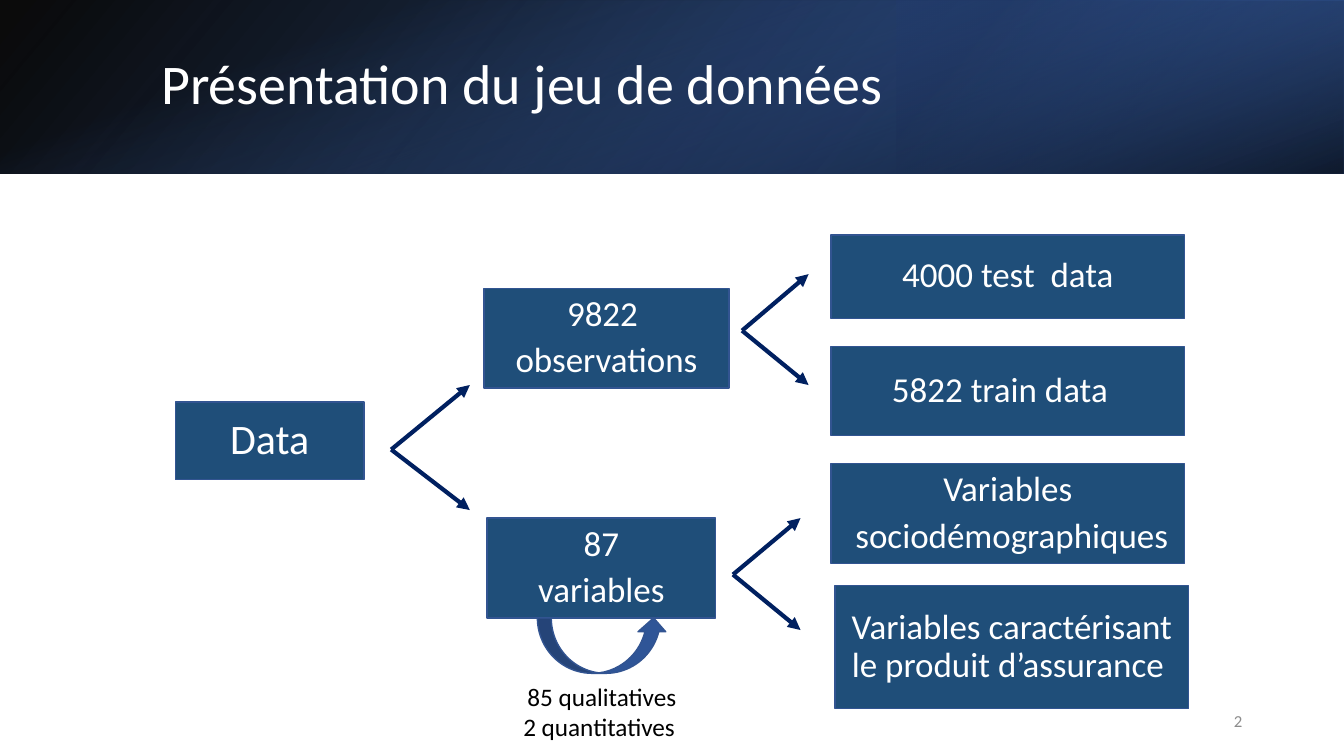
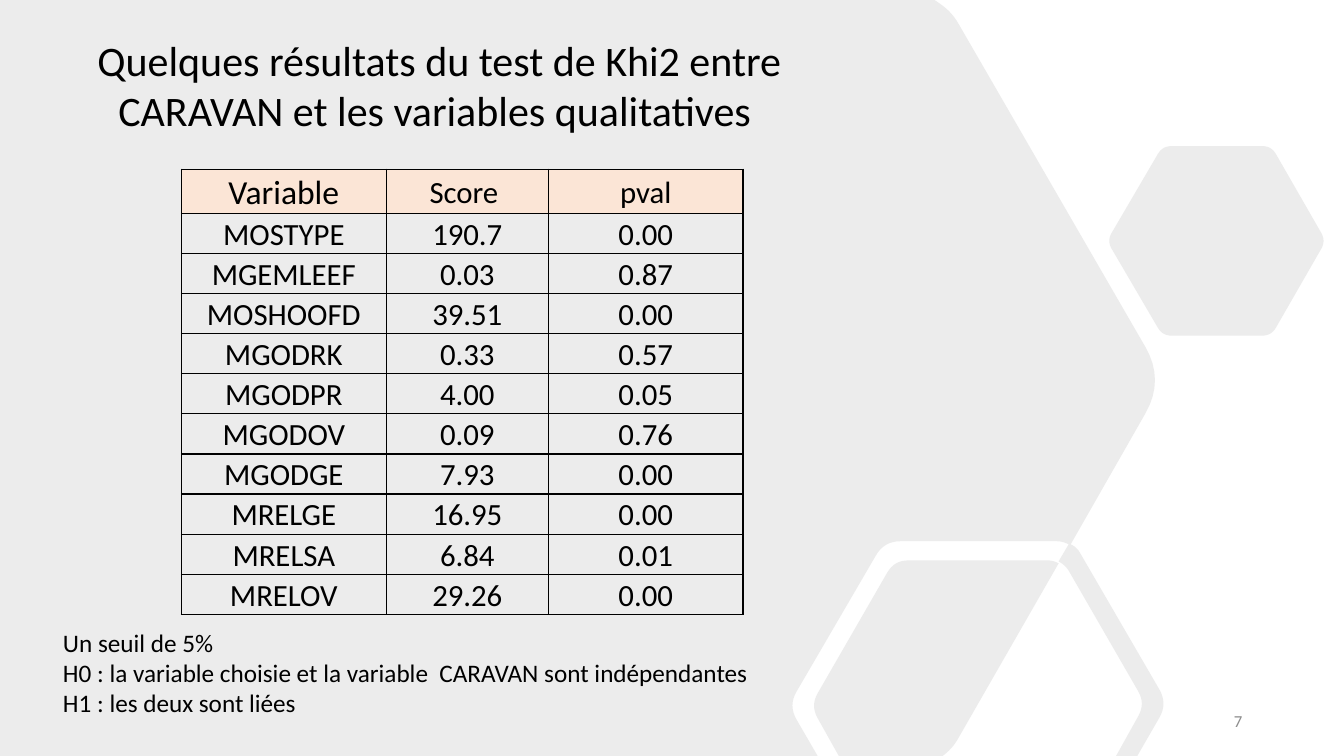
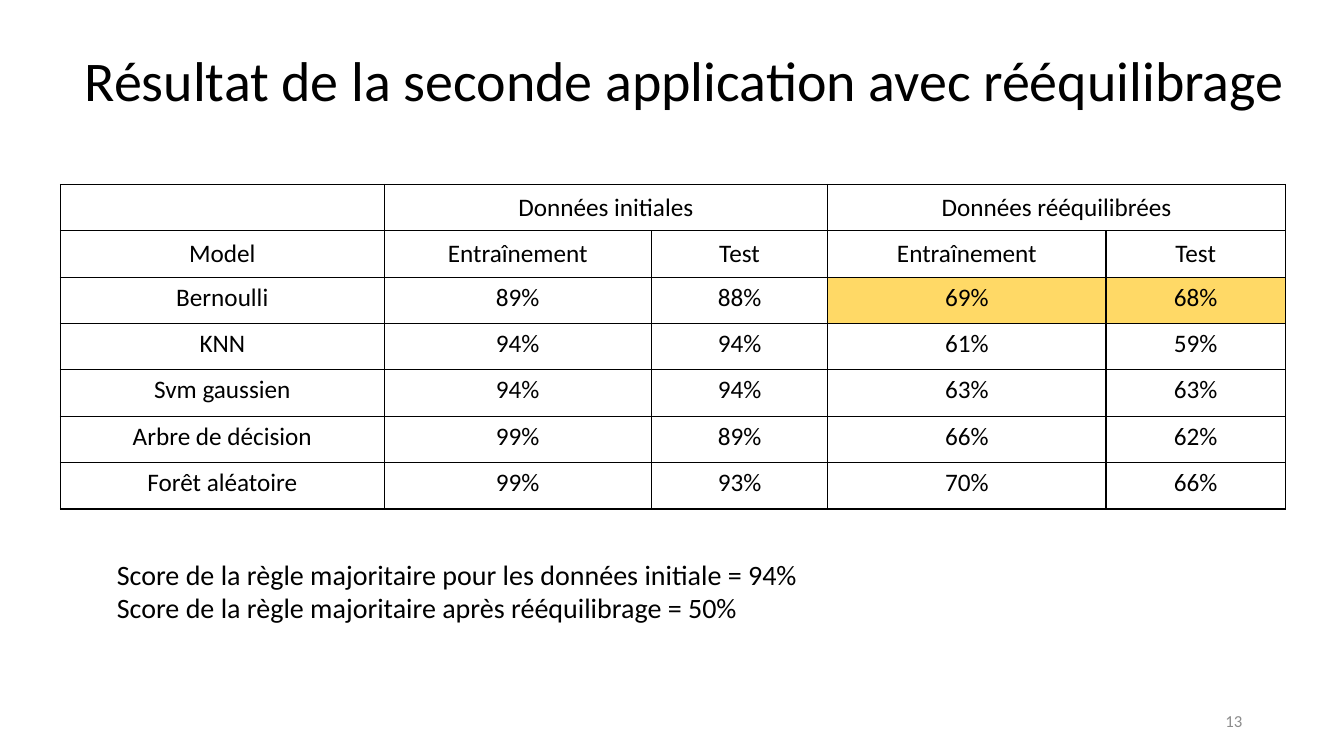
from lxml import etree
from pptx import Presentation
from pptx.dml.color import RGBColor
from pptx.enum.shapes import MSO_CONNECTOR, MSO_SHAPE
from pptx.enum.text import MSO_ANCHOR, PP_ALIGN
from pptx.oxml.ns import qn
from pptx.util import Pt

PX = 9144  # 100 px to the inch
FONT = "Calibri"
LEFT, CENTER, RIGHT = PP_ALIGN.LEFT, PP_ALIGN.CENTER, PP_ALIGN.RIGHT
TOP, MIDDLE = MSO_ANCHOR.TOP, MSO_ANCHOR.MIDDLE
RECT, CURVED_ARROW = MSO_SHAPE.RECTANGLE, MSO_SHAPE.CURVED_UP_ARROW
STRAIGHT = MSO_CONNECTOR.STRAIGHT

HEX = {
    "black": "000000", "white": "FFFFFF", "navy": "203864", "blue": "2F5597",
    "sky": "4472C4", "box": "1F4E79", "outline": "325491", "arrow": "002060",
    "hexagon": "808080", "header": "FBE5D6", "best": "FFD966", "number": "8C8C8C",
}
RGB = {name: RGBColor.from_string(value) for name, value in HEX.items()}


def write(tf, lines, size, color="black", align=LEFT, anchor=TOP, spacing=None, after=None):
    """Fill a text frame (or table cell) with one paragraph per line."""
    for i, line in enumerate(lines):
        p = tf.paragraphs[0] if i == 0 else tf.add_paragraph()
        p.text = line
        p.alignment = align
        p.font.name, p.font.size, p.font.color.rgb = FONT, Pt(size), RGB[color]
        if spacing:
            p.line_spacing = spacing
        if after:
            p.space_after = Pt(after)
    tf.vertical_anchor = anchor
    tf.word_wrap = True


def set_opacity(sp, *percents):
    """Give the shape's fill colours, in order, their opacity."""
    for color, percent in zip(sp._element.spPr.iter(qn("a:srgbClr")), percents):
        etree.SubElement(color, qn("a:alpha")).set("val", str(percent * 1000))


prs = Presentation()
prs.slide_width, prs.slide_height = 1333 * PX, 750 * PX
data_slide, khi2_slide, result_slide = slides = [
    prs.slides.add_slide(prs.slide_layouts[6]) for _ in range(3)]

# Slide 1: title band made of three layered gradients
# box, rotation, flipped, (position, colour, opacity) stops, clockwise angle
bands = [
    ((0, 0, 1333, 172), 0, True, [(0, "black", 96), (100, "blue", 100)], 140),
    ((889, 0, 444, 172), 180, True, [(19, "navy", 68), (100, "sky", 79)], 320),
    ((580, -580, 172, 1333), 90, False, [(23, "sky", 0), (99, "black", 74)], 340),
]
for box, rotation, flipped, stops, angle in bands:
    sp = data_slide.shapes.add_shape(RECT, *[v * PX for v in box])
    sp.shadow.inherit = False
    sp.line.fill.background()
    sp.rotation = rotation
    if flipped:
        sp._element.spPr.find(qn("a:xfrm")).set("flipH", "1")
    sp.fill.gradient()
    sp.fill.gradient_angle = 360 - angle
    for stop, (position, color, _) in zip(sp.fill.gradient_stops, stops):
        stop.position = position / 100
        stop.color.rgb = RGB[color]
    set_opacity(sp, *[opacity for _, _, opacity in stops])

# Slide 1: data tree
nodes = [
    ((480, 286, 243, 99), ["9822 ", "observations"], 25),
    ((174, 399, 187, 77), ["Data"], 30),
    ((483, 514, 227, 99), ["87", "variables"], 25),
    ((824, 233, 351, 83), ["4000 test  data"], 25),
    ((824, 344, 351, 88), ["5822 train data  "], 25),
    ((824, 460, 351, 99), ["Variables", " sociodémographiques"], 25),
    ((828, 581, 351, 122), ["Variables caractérisant le produit d’assurance "], 25),
    ((533, 613, 129, 55), [], 25),
]
for box, lines, size in nodes:
    sp = data_slide.shapes.add_shape(RECT if lines else CURVED_ARROW, *[v * PX for v in box])
    sp.shadow.inherit = False
    sp.fill.solid()
    sp.fill.fore_color.rgb = RGB["box" if lines else "blue"]
    sp.line.color.rgb = RGB["outline"]
    sp.line.width = Pt(1)
    write(sp.text_frame, lines, size, "white", CENTER, MIDDLE, 0.9, 6)

# Each fork: start, x of both tips, y of the upper and the lower tip
forks = [(727, 570, 794, 514, 625), (388, 446, 466, 382, 506), (736, 328, 802, 272, 382)]
for x, y, tip_x, *tips in forks:
    for tip_y in tips:
        arrow = data_slide.shapes.add_connector(
            STRAIGHT, x * PX, y * PX, tip_x * PX, tip_y * PX)
        arrow.line.color.rgb = RGB["arrow"]
        arrow.line.width = Pt(3)
        etree.SubElement(arrow.line._get_or_add_ln(), qn("a:tailEnd")).set("type", "triangle")
        etree.SubElement(arrow._element.spPr, qn("a:effectLst"))

# Slide 2: hexagon backdrop, as corners (x, y, length cut off by the rounding)
contours = [
    [(887, 556, 14), (1045, 556, 6), (1050, 559, 0), (945, 742, 10), (935, 750, 0),
     (832, 750, 0), (804, 700, 14)],
    [(1153, 145, 9), (1261, 145, 9), (1315, 239, 9), (1261, 333, 9), (1153, 333, 9),
     (1098, 239, 9)],
    [(0, 0, 0), (927, 0, 0), (944, 12, 13), (1155, 377, 38), (1062, 540, 0),
     (1068, 543, 6), (1158, 698, 16), (1128, 750, 0), (1107, 750, 0), (1136, 698, 14),
     (1057, 561, 7), (1050, 557, 0), (1060, 540, 0), (1053, 537, 5), (877, 537, 16),
     (782, 700, 16), (811, 750, 0), (0, 750, 0)],
]
builder = None
for corners in contours:
    points = []
    for i, (x, y, cut) in enumerate(corners):
        ends = []
        for nx, ny, _ in (corners[i - 1], corners[(i + 1) % len(corners)]):
            share = cut / ((nx - x) ** 2 + (ny - y) ** 2) ** 0.5
            ends.append((x + (nx - x) * share, y + (ny - y) * share))
        (ax, ay), (bx, by) = ends
        for t in [k / 8 for k in range(9)] if cut else [0]:
            a, c, b = (1 - t) ** 2, 2 * t * (1 - t), t ** 2
            points.append(((a * ax + c * x + b * bx) * PX, (a * ay + c * y + b * by) * PX))
    if builder is None:
        builder = khi2_slide.shapes.build_freeform(*points[0])
    else:
        builder.move_to(*points[0])
    builder.add_line_segments(points[1:], close=True)
sp = builder.convert_to_shape()
sp.shadow.inherit = False
sp.fill.solid()
sp.fill.fore_color.rgb = RGB["hexagon"]
sp.line.fill.background()
set_opacity(sp, 15)

# Tables of slides 2 and 3
khi2_rows = [
    ["Variable", "Score ", "pval"],
    ["MOSTYPE", "190.7", "0.00"],
    ["MGEMLEEF", "0.03", "0.87"],
    ["MOSHOOFD", "39.51", "0.00"],
    ["MGODRK", "0.33", "0.57"],
    ["MGODPR", "4.00", "0.05"],
    ["MGODOV", "0.09", "0.76"],
    ["MGODGE", "7.93", "0.00"],
    ["MRELGE", "16.95", "0.00"],
    ["MRELSA", "6.84", "0.01"],
    ["MRELOV", "29.26", "0.00"],
]
result_rows = [
    ["", "Données initiales", "", "Données rééquilibrées", ""],
    ["Model", "Entraînement", "Test", "Entraînement", "Test"],
    ["Bernoulli", "89%", "88%", "69%", "68%"],
    ["KNN", "94%", "94%", "61%", "59%"],
    ["Svm gaussien", "94%", "94%", "63%", "63%"],
    ["Arbre de décision", "99%", "89%", "66%", "62%"],
    ["Forêt aléatoire", "99%", "93%", "70%", "66%"],
]
# slide, rows, left, top, column widths, row heights, font size, larger cells,
# margins (x, y), middle-anchored rows, line spacing, space after, fills, merged pairs
tables = [
    (khi2_slide, khi2_rows, 180, 168, [203, 161, 193], [38] + [35] * 10, 22, {(0, 0): 24},
     (16, 0), 11, 1.07, 8, {(0, c): "header" for c in range(3)}, []),
    (result_slide, result_rows, 60, 183, [321, 265, 175, 276, 178], [46] * 7, 18, {},
     (10, 5), 2, None, None, {(2, 3): "best", (2, 4): "best"}, [1, 3]),
]
for (slide, rows, left, top, widths, heights, size, larger, (mx, my), middle_rows,
     spacing, after, fills, pairs) in tables:
    table = slide.shapes.add_table(len(rows), len(widths), left * PX, top * PX,
                                   sum(widths) * PX, sum(heights) * PX).table
    table.first_row = table.horz_banding = False
    for column, width in zip(table.columns, widths):
        column.width = width * PX
    for row, height in zip(table.rows, heights):
        row.height = height * PX
    for r, row in enumerate(rows):
        for c, text in enumerate(row):
            cell = table.cell(r, c)
            cell.margin_left = cell.margin_right = mx * PX
            cell.margin_top = cell.margin_bottom = my * PX
            write(cell.text_frame, [text], larger.get((r, c), size), align=CENTER,
                  spacing=spacing, after=after)
            cell.vertical_anchor = MIDDLE if r < middle_rows else TOP
            tcPr = cell._tc.get_or_add_tcPr()
            for side in ("lnL", "lnR", "lnT", "lnB"):
                ln = etree.SubElement(tcPr, qn("a:" + side), w=str(Pt(1)))
                solid = etree.SubElement(ln, qn("a:solidFill"))
                etree.SubElement(solid, qn("a:srgbClr"), val=HEX["black"])
            if (r, c) in fills:
                cell.fill.solid()
                cell.fill.fore_color.rgb = RGB[fills[r, c]]
            else:
                cell.fill.background()
    for c in pairs:
        table.cell(0, c).merge(table.cell(0, c + 1))

# Titles, notes and slide numbers
# slide, box, lines, size, colour, alignment, anchor, line spacing
texts = [
    (data_slide, (150, 38, 1098, 96), ["Présentation du jeu de données"],
     40, "white", LEFT, MIDDLE, 0.9),
    (data_slide, (501, 671, 192, 71), ["85 qualitatives", "2 quantitatives "],
     18, "black", CENTER, TOP, None),
    (khi2_slide, (77, 29, 718, 111),
     ["Quelques résultats du test de Khi2 entre CARAVAN et les variables qualitatives "],
     30, "black", CENTER, TOP, None),
    (khi2_slide, (47, 617, 777, 101),
     [" Un seuil de 5%",
      " H0 : la variable choisie et la variable  CARAVAN sont indépendantes",
      " H1 : les deux sont liées"],
     18, "black", LEFT, TOP, None),
    (result_slide, (0, 40, 1345, 77),
     [" Résultat de la seconde application avec rééquilibrage"],
     40, "black", CENTER, TOP, None),
    (result_slide, (106, 548, 818, 77),
     ["Score de la règle majoritaire pour les données initiale = 94%",
      "Score de la règle majoritaire après rééquilibrage = 50%"],
     20, "black", LEFT, TOP, None),
]
for slide, number in zip(slides, ("2", "7", "13")):
    texts.append((slide, (942, 695, 300, 40), [number], 12, "number", RIGHT, MIDDLE, None))
for slide, box, lines, *style in texts:
    write(slide.shapes.add_textbox(*[v * PX for v in box]).text_frame, lines, *style)

prs.save("out.pptx")
